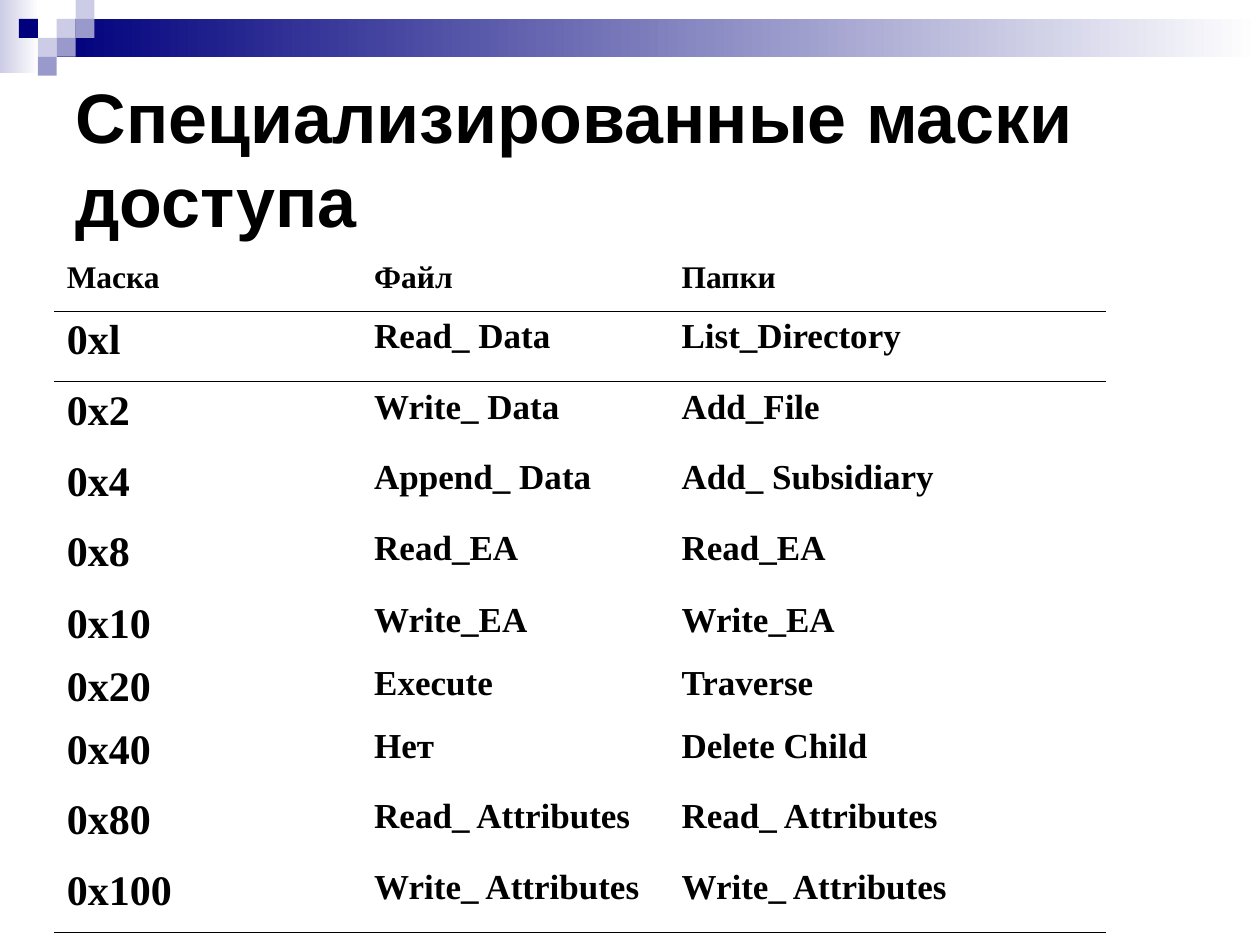
from pptx import Presentation
from pptx.dml.color import RGBColor
from pptx.enum.shapes import MSO_SHAPE
from pptx.enum.text import MSO_ANCHOR, MSO_AUTO_SIZE, PP_ALIGN
from pptx.oxml import parse_xml
from pptx.oxml.ns import nsdecls
from pptx.util import Inches, Pt

NAVY, LILAC, VIOLET, WHITE, BLACK = "00007D", "CCCCE6", "9999CC", "FFFFFF", "000000"
NO_GRID_STYLE = "{2D5ABB26-0587-4C30-8999-92F81FD0307C}"

# Mosaic squares as column, row, colour on the square grid
SQUARES = [(3, 1, LILAC), (4, 0, LILAC), (4, 1, VIOLET), (2, 2, LILAC),
           (1, 1, NAVY), (3, 2, VIOLET), (2, 3, VIOLET)]

MASKS = [
    ("Маска", "Файл", "Папки"),
    ("0xl", "Read_ Data", "List_Directory"),
    ("0x2", "Write_ Data", "Add_File"),
    ("0x4", "Append_ Data", "Add_ Subsidiary"),
    ("0x8", "Read_EA", "Read_EA"),
    ("0x10", "Write_EA", "Write_EA"),
    ("0x20", "Execute", "Traverse"),
    ("0x40", "Нет", "Delete Child"),
    ("0x80", "Read_ Attributes", "Read_ Attributes"),
    ("0x100", "Write_ Attributes", "Write_ Attributes"),
]
COLUMN_WIDTHS = [2.44, 2.44, 3.47]
ROW_HEIGHTS = [0.45] + [0.56] * 3 + [0.57] + [0.5] * 2 + [0.56] * 3


def color(value):
    return RGBColor.from_string(value)


def format_font(font, size, name):
    values = {"size": Pt(size), "name": name, "bold": True}
    for attribute, value in values.items():
        setattr(font, attribute, value)
    font.color.rgb = color(BLACK)


def add_block(group, left, top, width, height, *colors):
    """Add a borderless rectangle: one colour is solid, two fade to the right."""
    block = group.shapes.add_shape(MSO_SHAPE.RECTANGLE, Inches(left), Inches(top),
                                   Inches(width), Inches(height))
    block.shadow.inherit = False
    block.line.fill.background()
    if len(colors) == 1:
        block.fill.solid()
        block.fill.fore_color.rgb = color(colors[0])
    else:
        block.fill.gradient()
        block.fill.gradient_angle = 0
        for stop, value in zip(block.fill.gradient_stops, colors):
            stop.color.rgb = color(value)


def add_banner(slide, left, top, width, square):
    group = slide.shapes.add_group_shape()
    # Fading side panel and bar
    add_block(group, left, top, 0.31, 0.58, LILAC, WHITE)
    bar_offset = 3 * square
    add_block(group, left + bar_offset, top + square, width - bar_offset,
              2 * square, NAVY, WHITE)
    # Mosaic
    for column, row, value in SQUARES:
        add_block(group, left + column * square, top + row * square,
                  square, square, value)


def set_title(slide, text, left, top, width, height):
    title = slide.shapes.title
    box = {"left": left, "top": top, "width": width, "height": height}
    for attribute, value in box.items():
        setattr(title, attribute, Inches(value))
    frame = title.text_frame
    frame.text = text
    frame_format = {"word_wrap": True, "auto_size": MSO_AUTO_SIZE.NONE,
                    "vertical_anchor": MSO_ANCHOR.MIDDLE}
    for attribute, value in frame_format.items():
        setattr(frame, attribute, value)
    paragraph = frame.paragraphs[0]
    paragraph.alignment = PP_ALIGN.LEFT
    format_font(paragraph.font, 40, "Arial")


def add_border(cell, side):
    cell._tc.get_or_add_tcPr().append(parse_xml(
        f'<a:{side} {nsdecls("a")} w="{Pt(0.45)}"><a:solidFill>'
        f'<a:srgbClr val="{BLACK}"/></a:solidFill></a:{side}>'))


def add_mask_table(slide, left, top, width, height):
    frame = slide.shapes.add_table(len(MASKS), len(COLUMN_WIDTHS), Inches(left),
                                   Inches(top), Inches(width), Inches(height))
    table = frame.table
    table.first_row = table.horz_banding = False
    table._tbl.tblPr[0].text = NO_GRID_STYLE
    for column, column_width in zip(table.columns, COLUMN_WIDTHS):
        column.width = Inches(column_width)
    for row, row_height in zip(table.rows, ROW_HEIGHTS):
        row.height = Inches(row_height)

    last_row = len(MASKS) - 1
    for row_index, texts in enumerate(MASKS):
        sizes = (18, 18, 18) if row_index == 0 else (24, 20, 20)
        for column_index, (text, size) in enumerate(zip(texts, sizes)):
            cell = table.cell(row_index, column_index)
            cell.text = text
            format_font(cell.text_frame.paragraphs[0].font, size, "Times New Roman")
            # Rules under the header and under the last row
            if row_index == 1:
                add_border(cell, "lnT")
            if row_index in (0, last_row):
                add_border(cell, "lnB")
            cell.fill.solid()
            cell.fill.fore_color.rgb = color(WHITE)


def main():
    presentation = Presentation()
    presentation.slide_width = Inches(10)
    presentation.slide_height = Inches(7.5)
    slide = presentation.slides.add_slide(presentation.slide_layouts[5])
    add_banner(slide, 0, 0, 10, 0.15)
    set_title(slide, "Специализированные маски доступа", 0.5, 0.5, 9, 1.5)
    add_mask_table(slide, 0.43, 2.02, sum(COLUMN_WIDTHS), sum(ROW_HEIGHTS))
    presentation.save("out.pptx")


if __name__ == "__main__":
    main()
